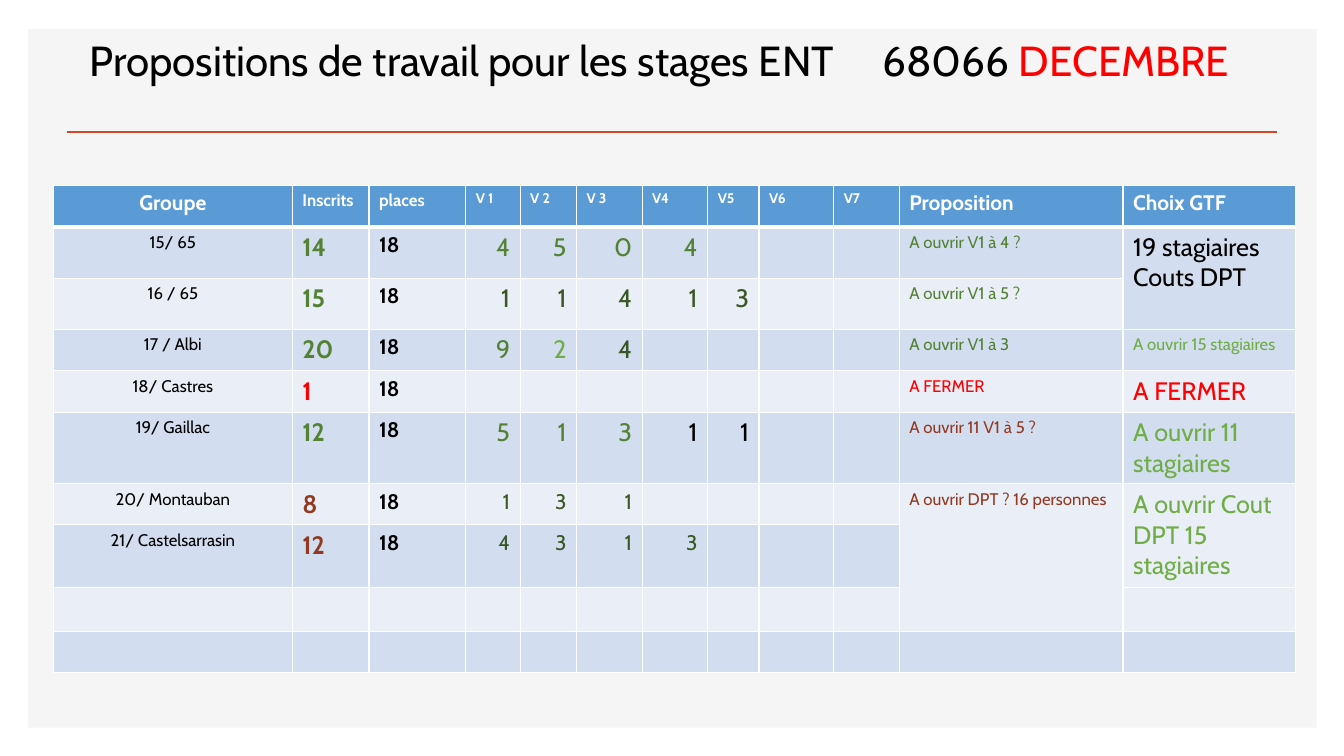
"""Build the December ENT training proposals slide."""
from lxml import etree
from pptx import Presentation
from pptx.dml.color import RGBColor
from pptx.enum.shapes import MSO_CONNECTOR, MSO_SHAPE
from pptx.enum.text import MSO_ANCHOR, MSO_AUTO_SIZE, PP_ALIGN
from pptx.oxml.ns import qn
from pptx.util import Inches, Pt

LEFT, CENTER, RIGHT = PP_ALIGN.LEFT, PP_ALIGN.CENTER, PP_ALIGN.RIGHT
FONT = "Cabin"
COLORS = {
    "panel": "F5F5F5", "rule": "D24726", "header": "5B9BD5",
    "odd": "D2DEEF", "even": "EAEFF7", "white": "FFFFFF",
    "black": "000000", "red": "FF0000", "green": "548235",
    "dark": "385723", "light": "70AD47", "brown": "923922",
}


def style(run, size, color, bold=False):
    run.font.name = FONT
    run.font.size = Pt(size)
    run.font.bold = bold
    run.font.color.rgb = RGBColor.from_string(COLORS[color])


def write(cell, text, size, color, align=LEFT, bold=False):
    paragraph = cell.text_frame.paragraphs[0]
    paragraph.text = text
    paragraph.alignment = align
    style(paragraph.runs[0], size, color, bold)


prs = Presentation()
prs.slide_width, prs.slide_height = Inches(13.33), Inches(7.5)
slide = prs.slides.add_slide(prs.slide_layouts[5])

title = slide.shapes.title
title.left, title.top = Inches(0.79), Inches(0.17)
title.width, title.height = Inches(11.5), Inches(0.72)
heading = title.text_frame
heading.auto_size = MSO_AUTO_SIZE.NONE
heading.vertical_anchor = MSO_ANCHOR.BOTTOM
headline = heading.paragraphs[0]
headline.alignment = LEFT
tabs = etree.SubElement(headline._p.get_or_add_pPr(), qn("a:tabLst"))
etree.SubElement(tabs, qn("a:tab"), pos=str(Inches(7.86)), algn="l")
for text, color in [
    ("Propositions de travail pour les stages ENT\t68066 ", "black"),
    ("DECEMBRE", "red"),
]:
    run = headline.add_run()
    run.text = text
    style(run, 30, color)

panel = slide.shapes.add_shape(
    MSO_SHAPE.RECTANGLE, Inches(0.28), Inches(0.29), Inches(12.78), Inches(6.93))
panel.shadow.inherit = False
panel.fill.solid()
panel.fill.fore_color.rgb = RGBColor.from_string(COLORS["panel"])
panel.line.fill.background()
title.element.addprevious(panel.element)

rule = slide.shapes.add_connector(
    MSO_CONNECTOR.STRAIGHT, Inches(0.66), Inches(1.31), Inches(12.67), Inches(1.31))
rule.line.color.rgb = RGBColor.from_string(COLORS["rule"])
rule.line.width = Pt(2)
etree.SubElement(rule.element.spPr, qn("a:effectLst"))
title.element.addprevious(rule.element)

widths = [2.37, 0.76, 0.96, 0.54, 0.56, 0.65, 0.65, 0.51, 0.74, 0.65, 2.22, 1.71]
heights = [0.41, 0.51, 0.51, 0.41, 0.41, 0.71, 0.4, 0.62, 0.44, 0.41]
table = slide.shapes.add_table(
    len(heights), len(widths), Inches(0.53), Inches(1.84),
    Inches(sum(widths)), Inches(sum(heights))).table
for column, width in zip(table.columns, widths):
    column.width = Inches(width)
for row, height in zip(table.rows, heights):
    row.height = Inches(height)

for row_index, row in enumerate(table.rows):
    band = "header" if row_index == 0 else "odd" if row_index % 2 else "even"
    for cell in row.cells:
        properties = cell._tc.get_or_add_tcPr()
        for side in ("lnL", "lnR", "lnT", "lnB"):
            heavy = (row_index, side) in [(0, "lnB"), (1, "lnT")]
            border = etree.SubElement(
                properties, qn(f"a:{side}"), w=str(Pt(3 if heavy else 1)))
            paint = etree.SubElement(border, qn("a:solidFill"))
            etree.SubElement(paint, qn("a:srgbClr"), val=COLORS["white"])
        cell.fill.solid()
        cell.fill.fore_color.rgb = RGBColor.from_string(COLORS[band])

headers = [("Groupe", 15), ("Inscrits", 12), ("places", 12)]
headers += [(label, 10) for label in ("V 1", "V 2", "V 3", "V4", "V5", "V6", "V7")]
headers += [("Proposition", 15), ("Choix GTF", 15)]
for column, (label, size) in enumerate(headers):
    write(table.cell(0, column), label, size, "white",
          CENTER if column == 0 else LEFT, bold=True)

groups = [
    ("15/ 65", "14", "green", 18, "4 5 0 4", ["green"] * 4),
    ("16 / 65", "15", "green", 18, "1 1 4 1 3", ["dark"] * 5),
    ("17 / Albi", "20", "green", 18, "9 2 4", ["green", "light", "dark"]),
    ("18/ Castres", "1", "red", 18, "", []),
    ("19/ Gaillac", "12", "green", 18, "5 1 3 1 1", ["green"] * 3 + ["black"] * 2),
    ("20/ Montauban", "8", "brown", 15, "1 3 1", ["dark"] * 3),
    ("21/ Castelsarrasin", "12", "brown", 15, "4 3 1 3", ["dark"] * 4),
]
for row, (group, enrolled, color, size, counts, count_colors) in enumerate(groups, 1):
    write(table.cell(row, 0), group, 12, "black", CENTER)
    write(table.cell(row, 1), enrolled, 18, color, bold=True)
    write(table.cell(row, 2), "18", 15, "black", bold=True)
    for column, (count, count_color) in enumerate(zip(counts.split(), count_colors), 3):
        write(table.cell(row, column), count, size, count_color, RIGHT)

for top, bottom, column in [(1, 2, 11), (6, 8, 10), (6, 7, 11)]:
    table.cell(top, column).merge(table.cell(bottom, column))

decisions = [
    (1, 10, "A ouvrir V1 à 4 ?", 12, "green"),
    (2, 10, "A ouvrir V1 à 5 ?", 12, "green"),
    (3, 10, "A ouvrir V1 à 3", 12, "green"),
    (4, 10, "A FERMER", 12, "red"),
    (5, 10, "A ouvrir 11 V1 à 5 ?", 12, "brown"),
    (6, 10, "A ouvrir DPT ? 16 personnes", 12, "brown"),
    (1, 11, "19 stagiaires Couts DPT", 18, "black"),
    (3, 11, "A ouvrir 15 stagiaires", 12, "light"),
    (4, 11, "A FERMER", 18, "red"),
    (5, 11, "A ouvrir 11 stagiaires", 18, "light"),
    (6, 11, "A ouvrir Cout DPT 15 stagiaires", 18, "light"),
]
for row, column, text, size, color in decisions:
    write(table.cell(row, column), text, size, color)

prs.save("out.pptx")
